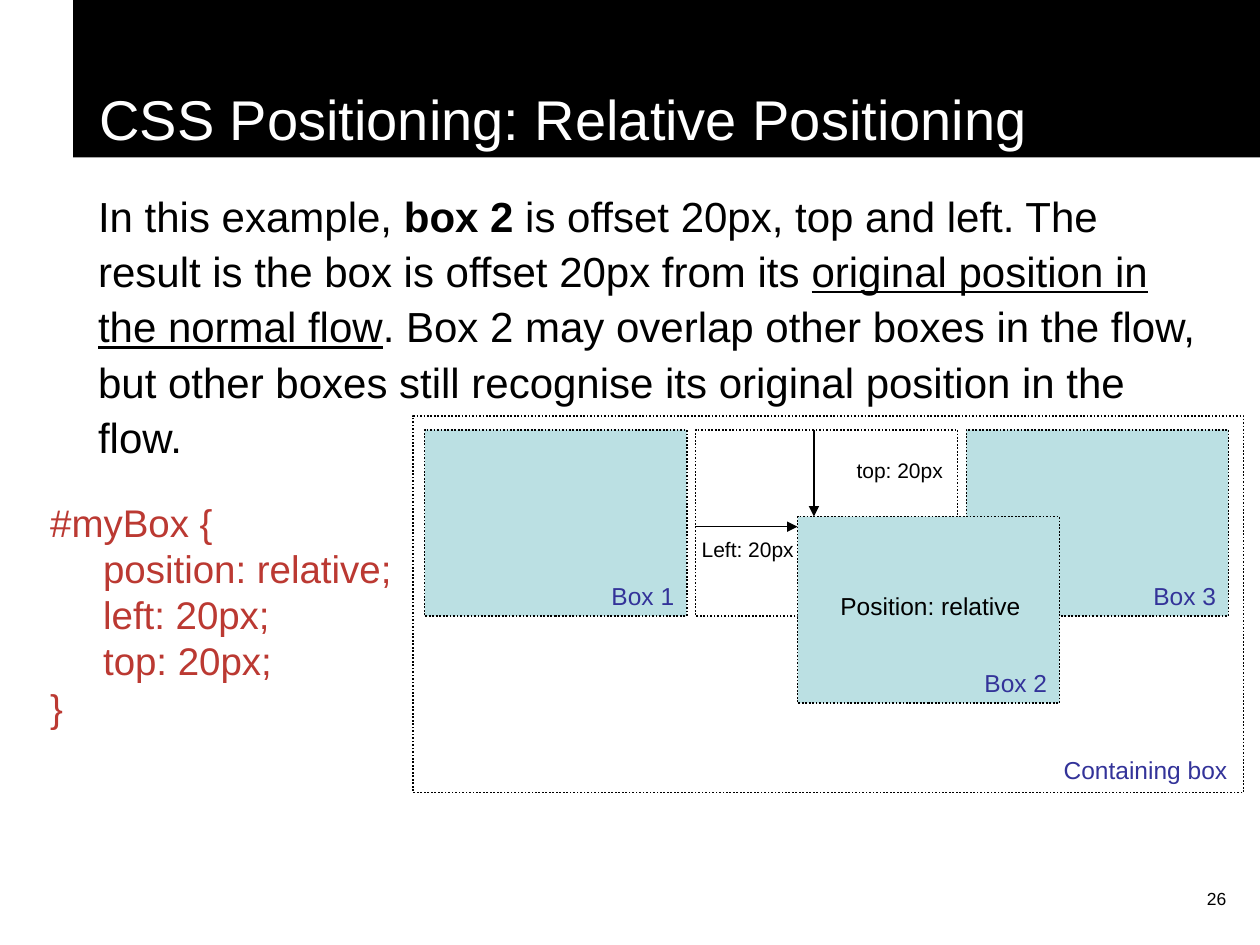
from dataclasses import dataclass

from lxml import etree
from pptx import Presentation
from pptx.dml.color import RGBColor
from pptx.enum.dml import MSO_LINE
from pptx.enum.shapes import MSO_CONNECTOR, MSO_SHAPE
from pptx.enum.text import MSO_ANCHOR, PP_ALIGN
from pptx.oxml.ns import qn
from pptx.util import Inches, Pt

RECTANGLE = MSO_SHAPE.RECTANGLE
STRAIGHT = MSO_CONNECTOR.STRAIGHT
DOTTED = MSO_LINE.ROUND_DOT
BOTTOM = MSO_ANCHOR.BOTTOM
LEFT, CENTER, RIGHT = PP_ALIGN.LEFT, PP_ALIGN.CENTER, PP_ALIGN.RIGHT


@dataclass(frozen=True)
class Theme:
    font: str = "Arial"
    black: RGBColor = RGBColor(0, 0, 0)
    white: RGBColor = RGBColor(255, 255, 255)
    box_fill: RGBColor = RGBColor(0xBB, 0xE0, 0xE3)
    label: RGBColor = RGBColor(0x33, 0x33, 0x99)
    code: RGBColor = RGBColor(0xBB, 0x39, 0x32)
    title_size: int = 32
    body_size: int = 24
    code_size: int = 22
    label_size: int = 14
    offset_size: int = 12
    number_size: int = 10


class SlideBuilder:
    """Holds the theme and the current page, and draws each kind of element."""

    def __init__(self, page, theme):
        self.page = page
        self.theme = theme

    def add_span(self, para, text, size, color, bold=False, underline=False):
        span = para.add_run()
        span.text = text
        span.font.name = self.theme.font
        span.font.size = Pt(size)
        span.font.color.rgb = color
        span.font.bold = bold
        span.font.underline = underline

    def rectangle(self, left, top, width, height, fill=None, outlined=True):
        box = self.page.shapes.add_shape(
            RECTANGLE, Inches(left), Inches(top), Inches(width), Inches(height))
        box.shadow.inherit = False
        if fill is None:
            box.fill.background()
        else:
            box.fill.solid()
            box.fill.fore_color.rgb = fill
        if outlined:
            box.line.color.rgb = self.theme.black
            box.line.width = Pt(1)
            box.line.dash_style = DOTTED
        else:
            box.line.fill.background()
        return box

    def title(self, left, top, width, height, text):
        band = self.rectangle(left, top, width, height, self.theme.black, outlined=False)
        frame = band.text_frame
        frame.word_wrap = True
        frame.vertical_anchor = BOTTOM
        para = frame.paragraphs[0]
        para.alignment = LEFT
        self.indent(para, 0.11)
        self.add_span(para, text, self.theme.title_size, self.theme.white)

    def indent(self, para, margin):
        properties = para._p.get_or_add_pPr()
        properties.set("marL", str(Inches(margin)))
        properties.set("indent", "0")

    def text_box(self, left, top, width, height):
        box = self.page.shapes.add_textbox(
            Inches(left), Inches(top), Inches(width), Inches(height))
        box.text_frame.word_wrap = True
        return box.text_frame.paragraphs[0]

    def label(self, left, top, width, height, text, size, color, align=LEFT):
        para = self.text_box(left, top, width, height)
        para.alignment = align
        self.add_span(para, text, size, color)

    def body(self, left, top, width, height, spans):
        para = self.text_box(left, top, width, height)
        self.indent(para, 0.1)
        para.line_spacing = 1.1
        for text, style in spans:
            self.add_span(para, text, self.theme.body_size, self.theme.black, **style)

    def code(self, left, top, width, height, lines, tab):
        para = self.text_box(left, top, width, height)
        stops = etree.SubElement(para._p.get_or_add_pPr(), qn("a:tabLst"))
        etree.SubElement(stops, qn("a:tab"), pos=str(Inches(tab)), algn="l")
        for index, line in enumerate(lines):
            if index:
                para.add_line_break()
            self.add_span(para, line, self.theme.code_size, self.theme.code)

    def arrow(self, start, end):
        line = self.page.shapes.add_connector(
            STRAIGHT, *(Inches(value) for value in (*start, *end)))
        line.line.color.rgb = self.theme.black
        line.line.width = Pt(0.75)
        etree.SubElement(line.line._get_or_add_ln(), qn("a:tailEnd"), type="triangle")
        etree.SubElement(line._element.spPr, qn("a:effectLst"))


def main():
    deck = Presentation()
    deck.slide_width, deck.slide_height = Inches(10), Inches(7.5)
    page = deck.slides.add_slide(deck.slide_layouts[6])
    theme = Theme()
    builder = SlideBuilder(page, theme)

    builder.title(0.58, 0, 9.42, 1.25, "CSS Positioning: Relative Positioning")
    builder.body(0.58, 1.42, 9.08, 3.1, [
        ("In this example, ", {}),
        ("box 2", {"bold": True}),
        (" is offset 20px, top and left. The result is the box is offset 20px from its ", {}),
        ("original position in the normal flow", {"underline": True}),
        (". Box 2 may overlap other boxes in the flow, but other boxes still "
         "recognise its original position in the flow.", {}),
    ])

    box_width, box_height, pitch = 2.08, 1.48, 2.15
    row_left, row_top = 3.37, 3.41
    flow_left = row_left + pitch
    moved_left, moved_top = 6.33, 4.1
    label_width, label_height = 2.05, 0.34

    builder.rectangle(3.28, 3.3, 6.59, 2.99)
    builder.rectangle(flow_left, row_top, box_width, box_height)
    filled_boxes = [
        ("Box 1", row_left, row_top),
        ("Box 3", row_left + 2 * pitch, row_top),
        ("Box 2", moved_left, moved_top),
    ]
    for name, left, top in filled_boxes:
        builder.rectangle(left, top, box_width, box_height, theme.box_fill)
        builder.label(left + 0.03, top + 1.15, label_width, label_height,
                      name, theme.label_size, theme.label, RIGHT)
    builder.label(7.79, 5.94, label_width, label_height,
                  "Containing box", theme.label_size, theme.label, RIGHT)
    builder.label(6.36, 4.64, label_width, label_height,
                  "Position: relative", theme.label_size, theme.black, CENTER)

    for text, left, top in [("Left: 20px", 5.47, 4.21), ("top: 20px", 6.7, 3.58)]:
        builder.label(left, top, 1.11, 0.3, text, theme.offset_size, theme.black)
    builder.arrow((6.46, row_top), (6.46, moved_top))
    builder.arrow((flow_left, 4.18), (moved_left, 4.18))

    builder.code(0.3, 3.91, 3.12, 1.94, [
        "#myBox {", "\tposition: relative;", "\tleft: 20px;", "\ttop: 20px;", "}"], 0.42)
    builder.label(7.75, 7, 2.08, 0.5, "26", theme.number_size, theme.black, RIGHT)

    deck.save("out.pptx")


if __name__ == "__main__":
    main()
